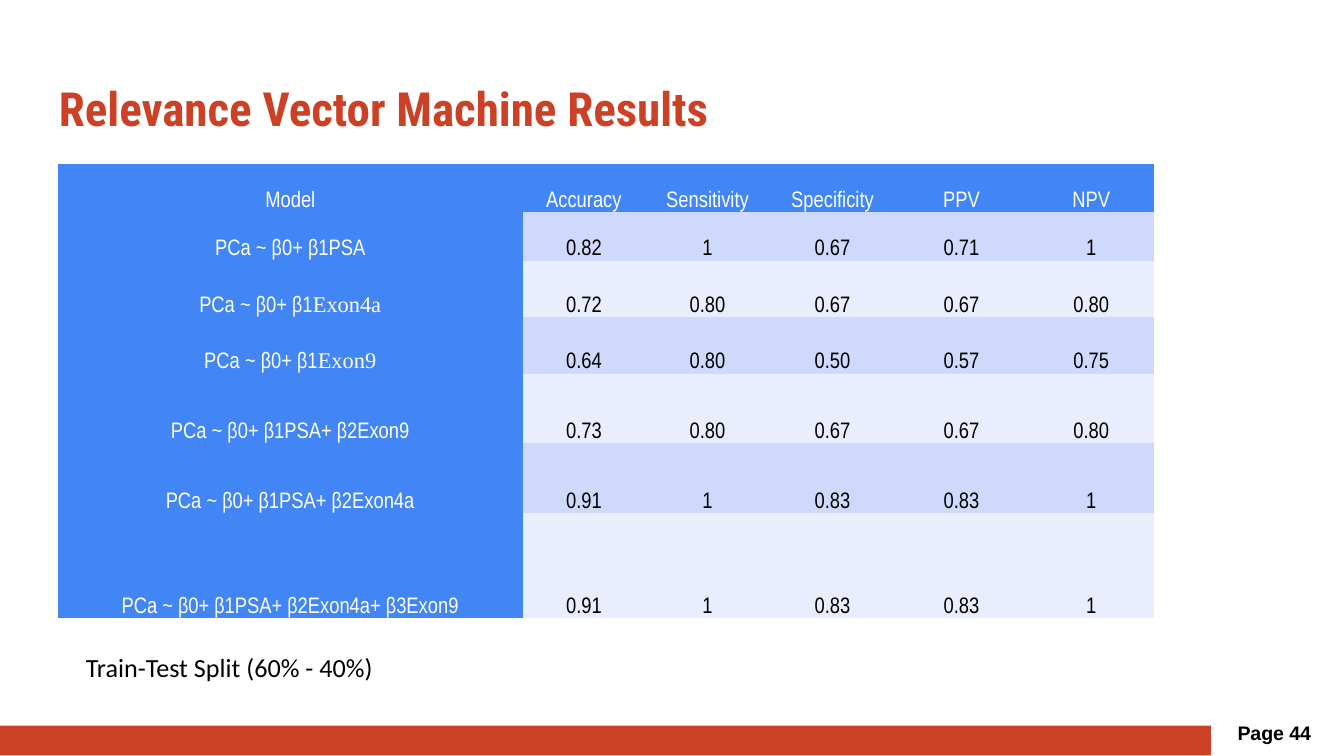
"""Build the slide of relevance vector machine results."""
from dataclasses import dataclass

from pptx import Presentation
from pptx.dml.color import RGBColor
from pptx.enum.shapes import MSO_SHAPE
from pptx.enum.text import MSO_ANCHOR, PP_ALIGN
from pptx.oxml.ns import qn
from pptx.util import Inches, Pt


@dataclass(frozen=True)
class Theme:
    red: str = "CC4125"
    blue: str = "4285F4"
    bands: tuple = ("CFD9FB", "E9EDFD")
    black: str = "000000"
    white: str = "FFFFFF"
    title_size: float = 25.2
    note_size: float = 14
    cell_size: float = 12
    page_size: float = 10.5


def add_run(p, text, font, size, color, bold=False):
    r = p.add_run()
    r.text = text
    r.font.name = font
    r.font.size = Pt(size)
    r.font.bold = bold
    r.font.color.rgb = RGBColor.from_string(color)


def add_text(s, box, inset, wrap=True):
    tf = s.shapes.add_textbox(*map(Inches, box)).text_frame
    tf.word_wrap = wrap
    tf.margin_left = tf.margin_right = Inches(0.1)
    tf.margin_top = tf.margin_bottom = Inches(inset)
    return tf.paragraphs[0]


theme = Theme()
prs = Presentation()
prs.slide_width = Inches(10)
prs.slide_height = prs.slide_width * 9 // 16
s = prs.slides.add_slide(prs.slide_layouts[6])

p = add_text(s, (0.34, 0.49, 9.32, 0.63), 0.1)
add_run(p, "Relevance Vector Machine Results", "Roboto Condensed", theme.title_size, theme.red, True)

footer = s.shapes.add_shape(MSO_SHAPE.RECTANGLE, Inches(0), Inches(5.4), Inches(9.01), Inches(0.22))
footer.shadow.inherit = False
footer.fill.solid()
footer.fill.fore_color.rgb = RGBColor.from_string(theme.red)
footer.line.fill.background()

p = add_text(s, (9.11, 5.33, 0.77, 0.37), 0.13)
p.line_spacing = 0.8
p.space_after = Pt(12)
add_run(p, "Page 44", "Arial", theme.page_size, theme.black, True)

results = [
    (["Model"], "Accuracy", "Sensitivity", "Specificity", "PPV", "NPV"),
    (["PCa ~ β0+ β1PSA"], "0.82", "1", "0.67", "0.71", "1"),
    (["PCa ~ β0+ β1", "Exon4a"], "0.72", "0.80", "0.67", "0.67", "0.80"),
    (["PCa ~ β0+ β1", "Exon9"], "0.64", "0.80", "0.50", "0.57", "0.75"),
    (["PCa ~ β0+ β1PSA+ β2Exon9"], "0.73", "0.80", "0.67", "0.67", "0.80"),
    (["PCa ~ β0+ β1PSA+ β2Exon4a"], "0.91", "1", "0.83", "0.83", "1"),
    (["PCa ~ β0+ β1PSA+ β2Exon4a+ β3Exon9"], "0.91", "1", "0.83", "0.83", "1"),
]
col_widths = [3.46, 0.91, 0.93, 0.93, 0.99, 0.94]
row_heights = [0.36, 0.36, 0.42, 0.42, 0.52, 0.52, 0.78]

table = s.shapes.add_table(len(results), len(col_widths), Inches(0.43), Inches(1.22),
                           Inches(8.15), Inches(3.39)).table
table._tbl.tblPr.find(qn("a:tableStyleId")).text = "{2D5ABB26-0587-4C30-8999-92F81FD0307C}"
for column, width in zip(table.columns, col_widths):
    column.width = Inches(width)
for i, (row, height, values) in enumerate(zip(table.rows, row_heights, results)):
    row.height = Inches(height)
    for j, (cell, value) in enumerate(zip(row.cells, values)):
        heading = i == 0 or j == 0
        cell.fill.solid()
        cell.fill.fore_color.rgb = RGBColor.from_string(theme.blue if heading else theme.bands[(i - 1) % 2])
        cell.vertical_anchor = MSO_ANCHOR.BOTTOM
        cell.margin_left = cell.margin_right = cell.margin_top = Inches(0.01)
        cell.margin_bottom = Inches(0)
        p = cell.text_frame.paragraphs[0]
        p.alignment = PP_ALIGN.CENTER
        parts = value if j == 0 else [value]
        for text, font in zip(parts, ("Arial Narrow", "Times New Roman")):
            add_run(p, text, font, theme.cell_size, theme.white if heading else theme.black)

p = add_text(s, (0.54, 4.8, 2.39, 0.34), 0.05, wrap=False)
add_run(p, "Train-Test Split (60% - 40%)", "Calibri", theme.note_size, theme.black)

prs.save("out.pptx")
